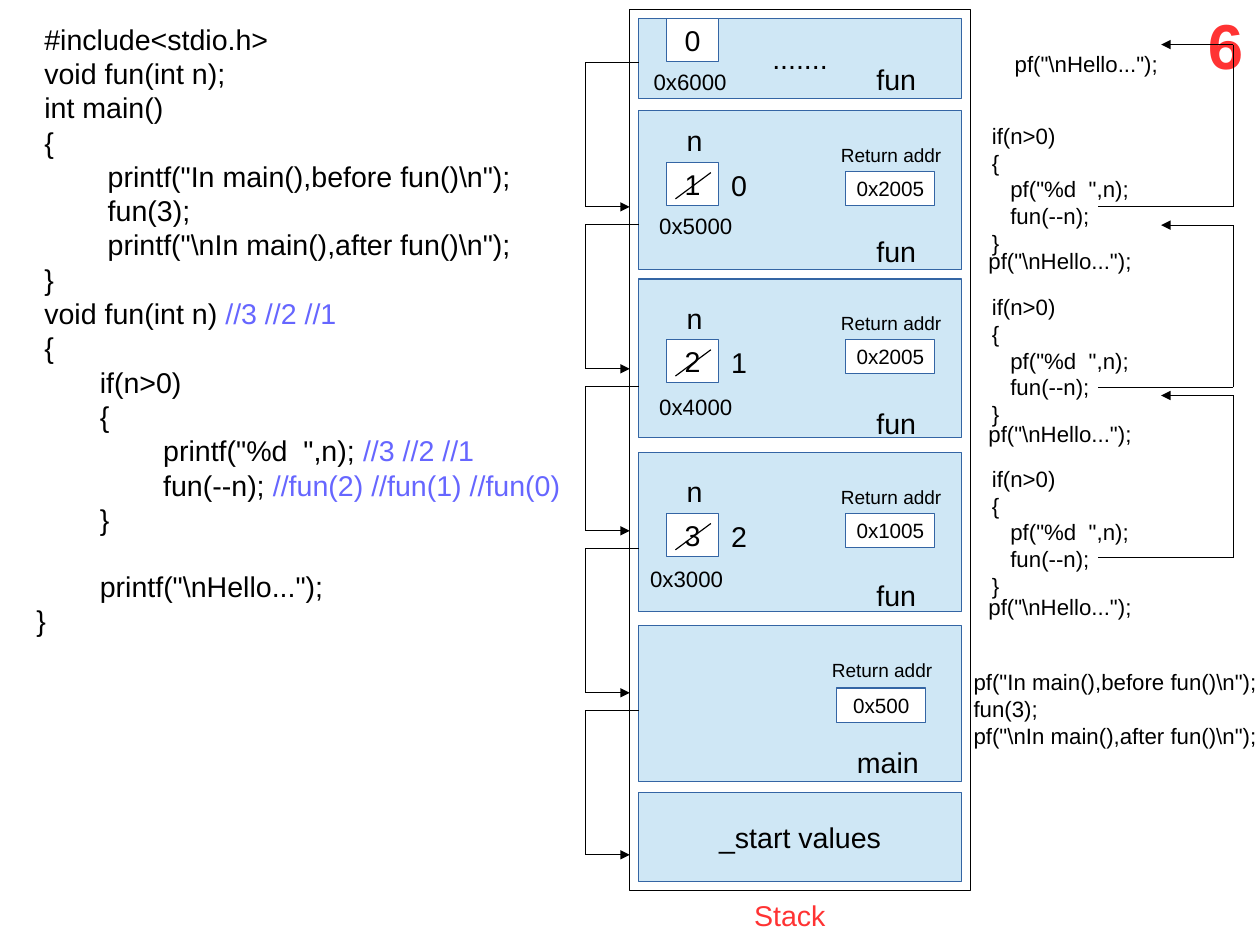
"""Draw the call stack of a recursive C function on one slide."""
from lxml.etree import SubElement
from pptx import Presentation
from pptx.dml.color import RGBColor
from pptx.enum.shapes import MSO_CONNECTOR, MSO_SHAPE
from pptx.enum.text import MSO_ANCHOR, PP_ALIGN
from pptx.oxml.ns import qn
from pptx.util import Emu, Inches, Pt

HUES = {"ink": "000000", "paper": "FFFFFF", "frame": "CFE7F5",
        "edge": "3465A4", "note": "6666FF", "red": "FF3333"}
WIDE, HIGH = Emu(10080625), Emu(7559675)

CODE = r'''
 #include<stdio.h>
 void fun(int n);
 int main()
 {
         printf("In main(),before fun()\n");
         fun(3);
         printf("\nIn main(),after fun()\n");
 }
 void fun(int n) //3 //2 //1
 {
        if(n>0)
        {
                printf("%d  ",n); //3 //2 //1
                fun(--n); //fun(2) //fun(1) //fun(0)
        }

        printf("\nHello...");
}'''[1:]
STEP = r'''if(n>0)
{
   pf("%d  ",n);
   fun(--n);
}'''
MAIN = r'''pf("In main(),before fun()\n");
fun(3);
pf("\nIn main(),after fun()\n");'''
HELLO = r'pf("\nHello...");'

CALLS = [
    {"top": 9.7, "cell": 14.2, "old": "1", "new": "0",
     "addr": ("0x5000", 56.7, 18.1), "ret": "0x2005"},
    {"top": 24.4, "cell": 29.7, "old": "2", "new": "1",
     "addr": ("0x4000", 56.7, 33.9), "ret": "0x2005"},
    {"top": 39.6, "cell": 44.9, "old": "3", "new": "2",
     "addr": ("0x3000", 55.9, 49), "ret": "0x1005"},
]
BACKS = [18.1, 33.9, 48.8]


def unit(num):
    return Inches(num / 10)


def tint(name):
    return RGBColor.from_string(HUES[name])


def put(para, text, size, hue="ink", bold=False):
    run = para.add_run()
    run.text = text
    font = run.font
    font.name, font.size, font.bold = "Arial", Pt(size), bold
    font.color.rgb = tint(hue)


def write(slide, text, left, top, wide, size=18, hue="ink", bold=False):
    lines = text.split("\n")
    high = 1 + len(lines) * size * 0.16
    box = slide.shapes.add_textbox(*map(unit, (left, top, wide, high)))
    frame = box.text_frame
    frame.word_wrap, frame.margin_right = True, 0
    para, gap = frame.paragraphs[0], 0
    for row, line in enumerate(lines):
        if not line:
            gap = size * 1.15
            continue
        if row:
            para = frame.add_paragraph()
            para.space_before = Pt(gap)
        gap = 0
        code, mark, note = line.partition("//")
        put(para, code, size, hue, bold)
        if mark:
            put(para, mark + note, size, "note")


def block(slide, left, top, wide, high, fill="frame", edge="edge", text="", size=18):
    box = slide.shapes.add_shape(MSO_SHAPE.RECTANGLE, *map(unit, (left, top, wide, high)))
    box.shadow.inherit = False
    box.fill.solid()
    box.fill.fore_color.rgb = tint(fill)
    box.line.color.rgb = tint(edge)
    box.line.width = Pt(0.75)
    if text:
        frame = box.text_frame
        frame.word_wrap = False
        frame.vertical_anchor = MSO_ANCHOR.MIDDLE
        frame.paragraphs[0].alignment = PP_ALIGN.CENTER
        put(frame.paragraphs[0], text, size)


def trace(slide, *dots, arrow=True):
    for num, (start, end) in enumerate(zip(dots, dots[1:]), 2):
        link = slide.shapes.add_connector(MSO_CONNECTOR.STRAIGHT, *map(unit, start + end))
        link.line.color.rgb = tint("ink")
        link.line.width = Pt(0.75)
        props = link.element.spPr
        if arrow and num == len(dots):
            SubElement(props.find(qn("a:ln")), qn("a:tailEnd"), type="triangle")
        SubElement(props, qn("a:effectLst"))


def back(slide, left, top, text, gap=2.9):
    write(slide, "Return addr", left - 1.4, top - gap, 11.6, 12)
    block(slide, left, top, 7.8, 3, "paper", text=text, size=13)


def call(slide, num, item):
    top, cell = item["top"], item["cell"]
    text, left, low = item["addr"]
    block(slide, 55.9, top, 28.2, 13.9)
    back(slide, 74, top + 5.3, item["ret"])
    write(slide, "fun", 75.7, 20 + 15.05 * num, 7)
    write(slide, "n", 59.1, cell - 3.9, 3.3)
    block(slide, 58.3, cell, 4.6, 3.8, "paper", text=item["old"])
    trace(slide, (62.2, cell + 0.9), (59.1, cell + 3.2), arrow=False)
    write(slide, item["new"], 63, cell, 3.3)
    write(slide, text, left, low, 10, 14)
    write(slide, STEP, 85.8, 10.2 + 15 * num, 15.6, 14)
    write(slide, HELLO, 85.5, 21.1 + 15.15 * num, 17.6, 14)


def main():
    deck = Presentation()
    deck.slide_width, deck.slide_height = WIDE, HIGH
    slide = deck.slides.add_slide(deck.slide_layouts[6])
    write(slide, CODE, 2.2, 1.4, 52)
    block(slide, 55.1, 0.8, 29.8, 77.1, "paper", "ink")
    block(slide, 55.9, 69.3, 28.2, 7.8, text="_start values")
    block(slide, 55.9, 54.7, 28.2, 13.7)
    back(slide, 73.2, 60.2, "0x500", 3.1)
    write(slide, "main", 74, 64.7, 8.6)
    block(slide, 55.9, 1.6, 28.2, 7, text=".......")
    write(slide, "fun", 75.7, 4.9, 7.7)
    block(slide, 58.3, 1.6, 4.6, 3.8, "paper", text="0")
    write(slide, "0x6000", 56.2, 5.5, 10.8, 14)
    for num, item in enumerate(CALLS):
        call(slide, num, item)
    write(slide, HELLO, 87.8, 3.9, 17.6, 14)
    write(slide, MAIN, 84.2, 58, 26, 14)
    write(slide, "Stack", 65, 78.1, 11.3, hue="red")
    write(slide, "6", 104.7, 0, 4.9, 40, "red", True)
    for low in BACKS:
        high = low - 14.2
        trace(slide, (96.1, low), (107.9, low), (107.9, high), (101.6, high))
    for num in range(5):
        high = 5.5 + 14.17 * num
        low = high + 12.6
        trace(slide, (55.9, high), (51.2, high), (51.2, low), (55.1, low))
    deck.save("out.pptx")


if __name__ == "__main__":
    main()
